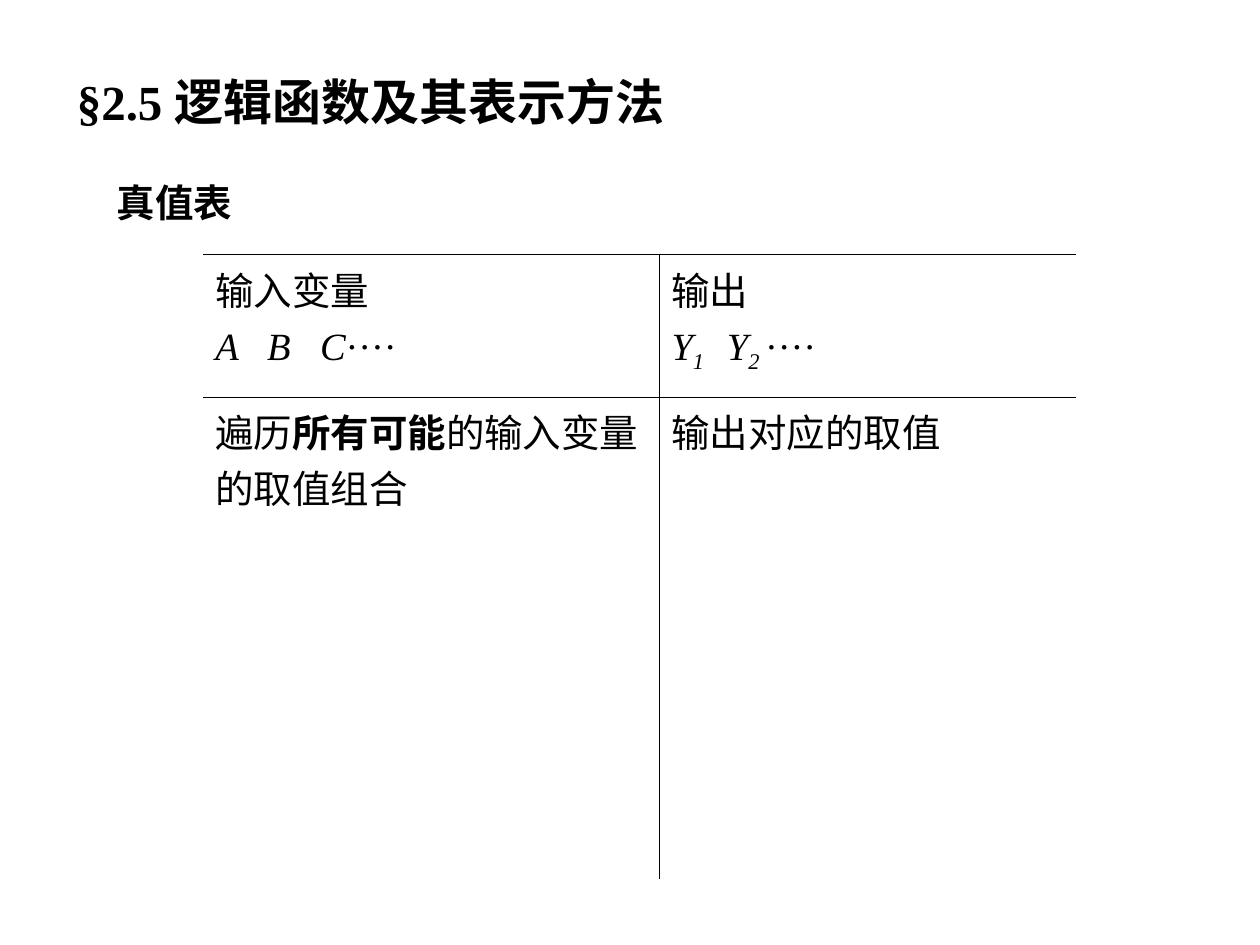
from pptx import Presentation
from pptx.dml.color import RGBColor
from pptx.enum.text import MSO_ANCHOR as Anchor, MSO_AUTO_SIZE as AutoSize, PP_ALIGN as Align
from pptx.oxml.ns import qn
from pptx.util import Inches, Pt
from lxml.etree import SubElement

BLACK = RGBColor(0, 0, 0)
FONT = "Times New Roman"
BODY_SIZE = 22
LINE_WIDTH = 0.45

PLAIN = {}
BOLD = {"bold": True}
ITALIC = {"italic": True}
SUBSCRIPT = {"italic": True, "baseline": -25}

# Each cell: paragraphs of (spans, tab stops in inches)
INPUT_HEAD = [
    ([("输入变量", PLAIN)], []),
    ([("A\tB\tC", ITALIC), ("····", PLAIN)], [0.41, 0.83]),
]
OUTPUT_HEAD = [
    ([("输出", PLAIN)], []),
    ([("Y", ITALIC), ("1\t", SUBSCRIPT), ("Y", ITALIC),
      ("2 ", SUBSCRIPT), ("····", PLAIN)], [0.44]),
]
INPUT_BODY = [
    ([("遍历", PLAIN), ("所有可能", BOLD), ("的输入变量的取值组合", PLAIN)], []),
]
OUTPUT_BODY = [([("输出对应的取值", PLAIN)], [])]
ROWS = [[INPUT_HEAD, OUTPUT_HEAD], [INPUT_BODY, OUTPUT_BODY]]
COLUMN_WIDTHS = [3.62, 3.31]
ROW_HEIGHTS = [1.13, 3.83]


def add_span(para, text, formats, size=BODY_SIZE):
    span = para.add_run()
    span.text = text
    span.font.color.rgb = BLACK
    values = {"name": FONT, "size": Pt(size), "bold": False, "italic": False}
    for name, value in {**values, **formats}.items():
        if name == "baseline":
            span.font._element.set("baseline", str(value * 1000))
        else:
            setattr(span.font, name, value)


def add_tab_stops(para, stops):
    tab_list = SubElement(para._p.get_or_add_pPr(), qn("a:tabLst"))
    for stop in stops:
        SubElement(tab_list, qn("a:tab"), pos=str(Inches(stop)), algn="l")


def write_line(box, place, text, size, line_spacing):
    box.left, box.top, box.width, box.height = [Inches(value) for value in place]
    frame = box.text_frame
    frame_formats = {"word_wrap": True, "auto_size": AutoSize.NONE,
                     "vertical_anchor": Anchor.TOP}
    for name, value in frame_formats.items():
        setattr(frame, name, value)
    para = frame.paragraphs[0]
    para.alignment = Align.LEFT
    para.line_spacing = line_spacing
    add_span(para, text, BOLD, size)


def set_borders(cell, visible_sides):
    properties = cell._tc.get_or_add_tcPr()
    for side in "LRTB":
        line = SubElement(properties, qn(f"a:ln{side}"), w=str(Pt(LINE_WIDTH)))
        if side in visible_sides:
            fill = SubElement(line, qn("a:solidFill"))
            SubElement(fill, qn("a:srgbClr"), val=str(BLACK))
        else:
            SubElement(line, qn("a:noFill"))


def fill_cell(cell, paragraphs):
    frame = cell.text_frame
    for index, (spans, stops) in enumerate(paragraphs):
        para = frame.add_paragraph() if index else frame.paragraphs[0]
        if index:
            para.space_before = Pt(5.5)
        if stops:
            add_tab_stops(para, stops)
        for text, formats in spans:
            add_span(para, text, formats)


def add_truth_table(slide):
    frame = slide.shapes.add_table(
        len(ROWS), len(COLUMN_WIDTHS), Inches(1.61), Inches(2.02),
        Inches(sum(COLUMN_WIDTHS)), Inches(sum(ROW_HEIGHTS)))
    table = frame.table
    table.first_row = table.horz_banding = False
    for column, width in zip(table.columns, COLUMN_WIDTHS):
        column.width = Inches(width)
    for row, height in zip(table.rows, ROW_HEIGHTS):
        row.height = Inches(height)
    for row_index, row in enumerate(ROWS):
        for column_index, paragraphs in enumerate(row):
            cell = table.cell(row_index, column_index)
            # Rules above both rows, below the head, and between the columns
            set_borders(cell, ["TB", "T"][row_index] + "RL"[column_index])
            cell.fill.background()
            fill_cell(cell, paragraphs)


def main():
    deck = Presentation()
    deck.slide_width, deck.slide_height = Inches(10), Inches(7.5)
    page = deck.slides.add_slide(deck.slide_layouts[5])

    # Section title and heading
    write_line(page.shapes.title, (0.51, 0.52, 6.77, 0.57),
               "§2.5 逻辑函数及其表示方法", 28, 1)
    heading_place = (0.83, 1.19, 3.98, 0.65)
    heading = page.shapes.add_textbox(*[Inches(value) for value in heading_place])
    write_line(heading, heading_place, "真值表", BODY_SIZE, 1.5)

    # Truth table layout
    add_truth_table(page)
    deck.save("out.pptx")


if __name__ == "__main__":
    main()
